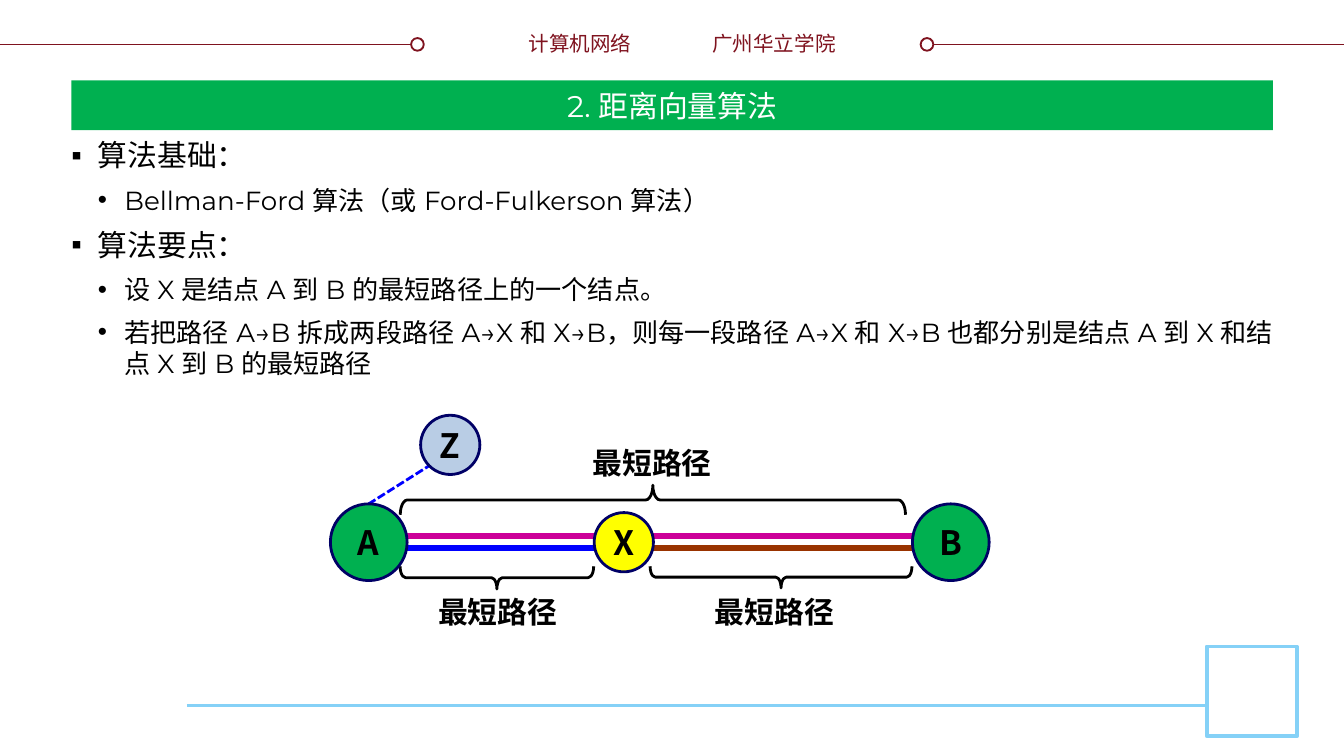
from dataclasses import dataclass

from lxml.etree import SubElement
from pptx import Presentation
from pptx.dml.color import RGBColor
from pptx.enum.dml import MSO_LINE
from pptx.enum.shapes import MSO_CONNECTOR, MSO_SHAPE
from pptx.enum.text import MSO_ANCHOR, PP_ALIGN
from pptx.oxml.ns import qn
from pptx.util import Cm, Pt


@dataclass(frozen=True)
class Theme:
    latin: str = "Montserrat"
    chinese: str = "Noto Sans CJK SC"
    maroon: str = "7F131F"
    sky: str = "85D1F7"
    green: str = "00B050"
    yellow: str = "FFFF00"
    pale_blue: str = "B9CDE5"
    navy: str = "000066"
    blue: str = "0000FF"
    magenta: str = "CC0099"
    brown: str = "993300"
    black: str = "000000"
    white: str = "FFFFFF"
    header_size: int = 11
    detail_size: int = 14
    heading_size: int = 16
    node_size: int = 18


theme = Theme()


def style_text(para, size, color, font, bold=False):
    for span in para.runs:
        span.font.size = Pt(size)
        span.font.bold = bold
        span.font.name = font
        span.font.color.rgb = RGBColor.from_string(color)
        SubElement(span.font._element, qn("a:ea"), typeface=font)


def style_shape(shape, fill, line, width):
    shape.shadow.inherit = False
    if fill:
        shape.fill.solid()
        shape.fill.fore_color.rgb = RGBColor.from_string(fill)
    else:
        shape.fill.background()
    if line:
        shape.line.color.rgb = RGBColor.from_string(line)
        shape.line.width = Pt(width)
    else:
        shape.line.fill.background()


deck = Presentation()
deck.slide_width, deck.slide_height = Cm(25.4), Cm(14.29)
page = deck.slides.add_slide(deck.slide_layouts[6])
shapes = page.shapes

# Header and footer rules, then the path segments: from, to, colour, width, dash
header_y, footer_y, upper_y, lower_y = 0.84, 13.34, 10.13, 10.36
lines = [
    (0, header_y, 8, header_y, theme.maroon, 1, None),
    (17.4, header_y, 25.4, header_y, theme.maroon, 1, None),
    (3.53, footer_y, 22.81, footer_y, theme.sky, 1.5, None),
    (7.7, upper_y, 17.25, upper_y, theme.magenta, 3, None),
    (7.52, lower_y, 11.35, lower_y, theme.blue, 3, None),
    (11.99, lower_y, 17.48, lower_y, theme.brown, 3, None),
    (6.96, 9.53, 8.1, 8.81, theme.blue, 1.5, MSO_LINE.SQUARE_DOT),
]
for x1, y1, x2, y2, color, width, dash in lines:
    line = shapes.add_connector(MSO_CONNECTOR.STRAIGHT, Cm(x1), Cm(y1), Cm(x2), Cm(y2))
    line.line.color.rgb = RGBColor.from_string(color)
    line.line.width = Pt(width)
    if dash:
        line.line.dash_style = dash
    SubElement(line._element.spPr, qn("a:effectLst"))

# Header end circles and footer square
for left, top, size, kind, color, width in [
    (7.77, 0.72, 0.24, MSO_SHAPE.OVAL, theme.maroon, 1),
    (17.4, 0.72, 0.24, MSO_SHAPE.OVAL, theme.maroon, 1),
    (22.81, 12.22, 1.7, MSO_SHAPE.RECTANGLE, theme.sky, 2),
]:
    ornament = shapes.add_shape(kind, Cm(left), Cm(top), Cm(size), Cm(size))
    style_shape(ornament, theme.white, color, width)

# Header names
for left, width, text, align, wrap in [
    (9.73, 2.46, "计算机网络", PP_ALIGN.RIGHT, False),
    (13.21, 2.95, "广州华立学院", PP_ALIGN.LEFT, True),
]:
    box = shapes.add_textbox(Cm(left), Cm(0.46), Cm(width), Cm(0.74))
    box.text_frame.word_wrap = wrap
    box.text_frame.text = text
    para = box.text_frame.paragraphs[0]
    para.alignment = align
    style_text(para, theme.header_size, theme.maroon, theme.chinese)

# Braces (centre, depth, span, rotation), each with its label position
for center_x, center_y, depth, span_length, rotation, label_left, label_top in [
    (12.34, 9.45, 0.56, 9.55, 270, 10.95, 8.28),
    (9.39, 10.92, 0.43, 3.66, 90, 8.03, 11.1),
    (14.76, 10.91, 0.41, 4.95, 90, 13.26, 11.1),
]:
    brace = shapes.add_shape(
        MSO_SHAPE.RIGHT_BRACE,
        Cm(center_x - depth / 2), Cm(center_y - span_length / 2), Cm(depth), Cm(span_length),
    )
    brace.adjustments[0] = 0.24
    brace.rotation = rotation
    style_shape(brace, None, theme.black, 1.5)
    label = shapes.add_textbox(Cm(label_left), Cm(label_top), Cm(2.79), Cm(0.94))
    label.text_frame.word_wrap = False
    label.text_frame.text = "最短路径"
    style_text(label.text_frame.paragraphs[0], theme.heading_size, theme.black, theme.chinese, True)

# Network nodes: name, centre, diameter, fill
for name, center_x, center_y, diameter, fill in [
    ("Z", 8.51, 8.41, 1.12, theme.pale_blue),
    ("A", 6.97, 10.25, 1.45, theme.green),
    ("B", 17.97, 10.25, 1.45, theme.green),
    ("X", 11.79, 10.25, 1.12, theme.yellow),
]:
    node = shapes.add_shape(
        MSO_SHAPE.OVAL,
        Cm(center_x - diameter / 2), Cm(center_y - diameter / 2), Cm(diameter), Cm(diameter),
    )
    style_shape(node, fill, theme.navy, 1.5)
    frame = node.text_frame
    frame.margin_left = frame.margin_right = frame.margin_top = frame.margin_bottom = 0
    frame.word_wrap = False
    frame.vertical_anchor = MSO_ANCHOR.MIDDLE
    frame.text = name
    frame.paragraphs[0].alignment = PP_ALIGN.CENTER
    style_text(frame.paragraphs[0], theme.node_size, theme.black, theme.chinese, True)

# Title bar
title = shapes.add_shape(MSO_SHAPE.RECTANGLE, Cm(1.35), Cm(1.52), Cm(22.71), Cm(0.94))
style_shape(title, theme.green, None, 0)
title.text_frame.vertical_anchor = MSO_ANCHOR.MIDDLE
title.text_frame.text = "2. 距离向量算法"
title.text_frame.paragraphs[0].alignment = PP_ALIGN.CENTER
style_text(title.text_frame.paragraphs[0], theme.heading_size, theme.white, theme.latin)

# Bulleted body: level, text
points = [
    (0, "算法基础："),
    (1, "Bellman-Ford 算法（或 Ford-Fulkerson 算法）"),
    (0, "算法要点："),
    (1, "设 X 是结点 A 到 B 的最短路径上的一个结点。"),
    (1, "若把路径 A→B 拆成两段路径 A→X 和 X→B，则每一段路径 A→X 和 X→B "
        "也都分别是结点 A 到 X 和结点 X 到 B 的最短路径"),
]
body = shapes.add_textbox(Cm(1.35), Cm(2.49), Cm(22.71), Cm(10.29))
frame = body.text_frame
frame.word_wrap = True
frame.margin_left = frame.margin_right = 0
frame.margin_top = frame.margin_bottom = Cm(0.1)
for index, (level, text) in enumerate(points):
    para = frame.add_paragraph() if index else frame.paragraphs[0]
    para.text = text
    para.level = level
    para.alignment = PP_ALIGN.JUSTIFY
    properties = para._p.get_or_add_pPr()
    properties.set("marL", str(Cm(0.5 * (level + 1))))
    properties.set("indent", str(-Cm(0.5)))
    SubElement(properties, qn("a:buFont"), typeface="Arial")
    SubElement(properties, qn("a:buChar"), char="▪•"[level])
    para.space_after = Pt(6)
    size = theme.detail_size if level else theme.heading_size
    style_text(para, size, theme.black, theme.latin)

deck.save("out.pptx")
